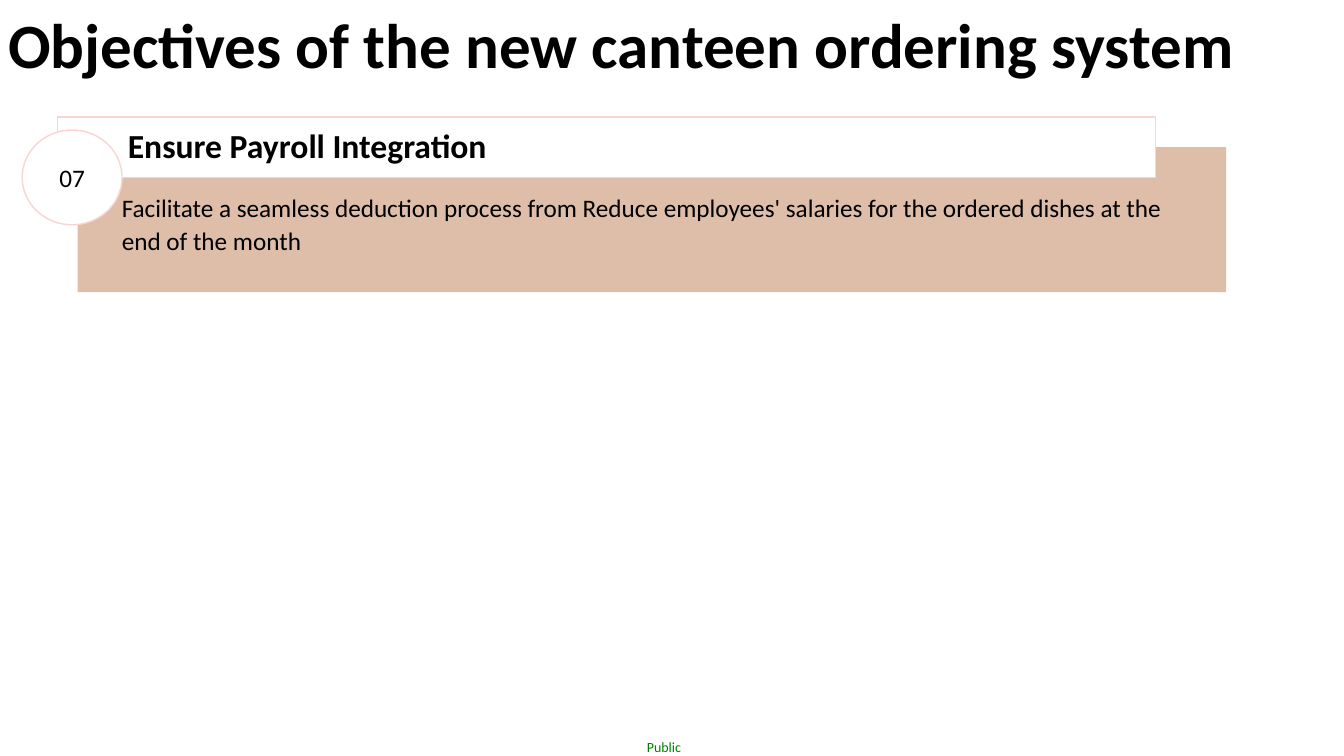
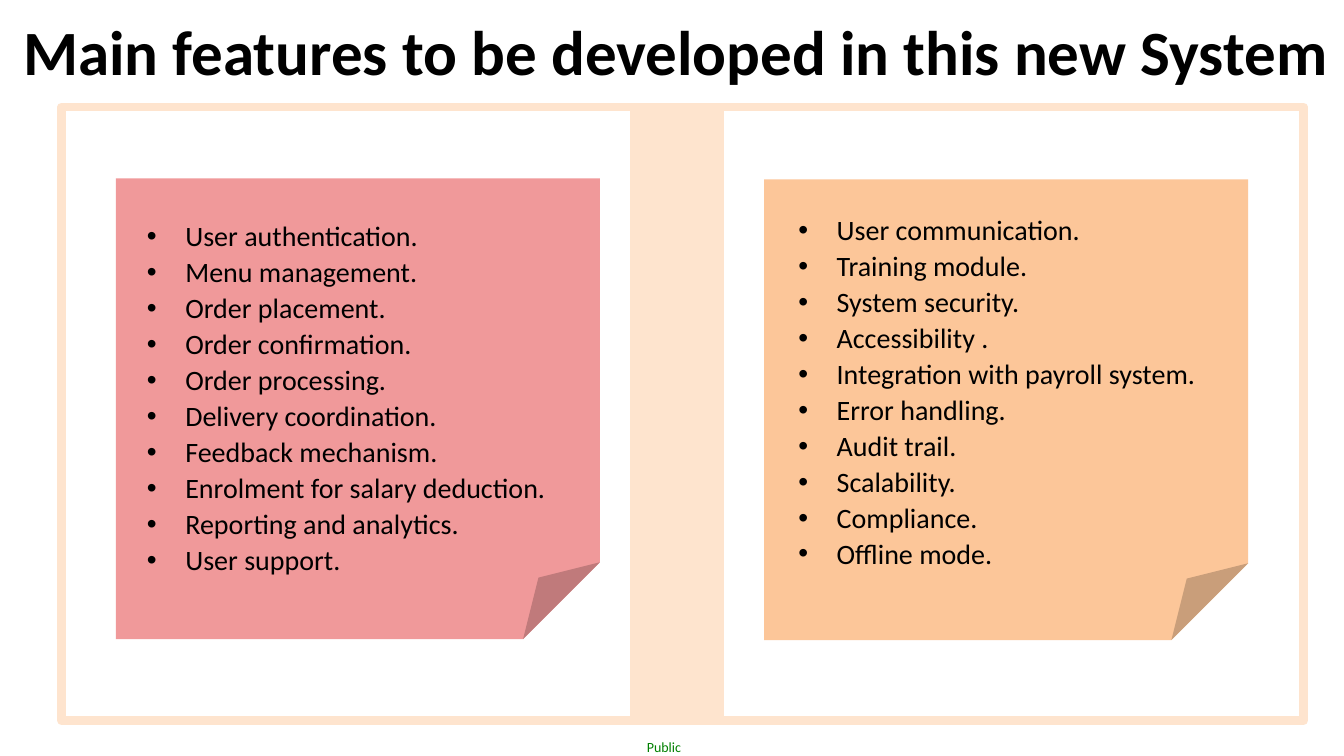
"""Builds two slides on the objectives and features of a canteen ordering system."""
from dataclasses import dataclass

from lxml import etree
from pptx import Presentation
from pptx.dml.color import RGBColor
from pptx.enum import shapes, text
from pptx.oxml.ns import qn
from pptx.util import Emu, Pt

PX = 9144
FONT = "Calibri"
LINE_SPACING = 1.07
COLORS = {
    "black": "000000",
    "white": "FFFFFF",
    "public": "008000",
    "card": "DEBEA9",
    "outline": "FAD4D1",
    "frame": "FEE4CE",
    "pink": "F0999A",
    "orange": "FCC699",
}
Kind = shapes.MSO_SHAPE
Align = text.PP_ALIGN
Anchor = text.MSO_ANCHOR


@dataclass(frozen=True)
class Box:
    """A rectangle in px."""
    left: int
    top: int
    width: int
    height: int

    def emu(self) -> tuple[Emu, ...]:
        """Returns the rectangle in EMU."""
        return tuple(Emu(v * PX) for v in (self.left, self.top, self.width, self.height))


@dataclass(frozen=True)
class Style:
    """The look of a paragraph."""
    size: int
    bold: bool = False
    color: str = "black"
    align: Align = Align.LEFT
    spacing: float = LINE_SPACING
    after: int = 0
    bullet: bool = False


@dataclass(frozen=True)
class Note:
    """A folded note with a bulleted list."""
    paper: Box
    fill: str
    list_box: Box
    align: Align
    items: tuple[str, ...]


TITLE = Style(45, bold=True, after=8)
HEADING = Style(24, bold=True, after=8)
BODY = Style(18, after=8)
NUMBER = Style(18, align=Align.CENTER, spacing=1.0)
FOOTER = Style(10, color="public", align=Align.CENTER, spacing=1.0)

NOTES = (
    Note(Box(758, 178, 480, 457), "orange", Box(782, 204, 460, 369), Align.LEFT, (
        "User communication.", "Training module.", "System security.", "Accessibility .",
        "Integration with payroll system.", "Error handling.", "Audit trail.",
        "Scalability.", "Compliance.", "Offline mode.")),
    Note(Box(115, 177, 480, 457), "pink", Box(136, 210, 460, 405), Align.JUSTIFY, (
        "User authentication.", "Menu management.", "Order placement.",
        "Order confirmation.", "Order processing.", "Delivery coordination.",
        "Feedback mechanism.", "Enrolment for salary deduction.",
        "Reporting and analytics.", "User support.")),
)


def rgb(name: str) -> RGBColor:
    """Looks up a named colour."""
    return RGBColor.from_string(COLORS[name])


def add_bullet(p) -> None:
    """Gives a paragraph a hanging round bullet."""
    pPr = p._p.get_or_add_pPr()
    pPr.set("marL", str(38 * PX))
    pPr.set("indent", str(-38 * PX))
    etree.SubElement(pPr, qn("a:buFont")).set("typeface", "Arial")
    etree.SubElement(pPr, qn("a:buChar")).set("char", "•")


def write(tf, lines: tuple[str, ...], style: Style) -> None:
    """Writes one paragraph for each line."""
    tf.word_wrap = True
    for i, line in enumerate(lines):
        p = tf.add_paragraph() if i else tf.paragraphs[0]
        if style.bullet:
            add_bullet(p)
        p.alignment = style.align
        p.line_spacing = style.spacing
        p.space_before = Pt(0)
        p.space_after = Pt(style.after)
        r = p.add_run()
        r.text = line
        r.font.name = FONT
        r.font.size = Pt(style.size)
        r.font.bold = style.bold
        r.font.color.rgb = rgb(style.color)


def add_text(slide, box: Box, style: Style, *lines: str):
    """Adds a text box and returns its frame."""
    tf = slide.shapes.add_textbox(*box.emu()).text_frame
    write(tf, lines, style)
    return tf


def add_shape(slide, kind: Kind, box: Box, fill: str, line: str = "", weight: int = 1):
    """Adds a flat preset shape."""
    sp = slide.shapes.add_shape(kind, *box.emu())
    sp.shadow.inherit = False
    sp.fill.solid()
    sp.fill.fore_color.rgb = rgb(fill)
    if line:
        sp.line.color.rgb = rgb(line)
        sp.line.width = Pt(weight)
    else:
        sp.line.fill.background()
    return sp


def add_slide(prs, title: str, box: Box):
    """Adds a slide with its title and footer."""
    slide = prs.slides.add_slide(prs.slide_layouts[5])
    sp = slide.shapes.title
    sp.left, sp.top, sp.width, sp.height = box.emu()
    tf = sp.text_frame
    tf.auto_size = text.MSO_AUTO_SIZE.NONE
    tf.vertical_anchor = Anchor.TOP
    write(tf, (title,), TITLE)
    footer = add_text(slide, Box(640, 733, 37, 17), FOOTER, "Public")
    footer.margin_left = footer.margin_right = footer.margin_top = footer.margin_bottom = 0
    return slide


def add_objective(slide, number: str, heading: str, body: str) -> None:
    """Draws a numbered objective card."""
    add_shape(slide, Kind.RECTANGLE, Box(77, 146, 1139, 144), "card")
    add_shape(slide, Kind.RECTANGLE, Box(57, 116, 1089, 60), "white", "outline")
    sp = add_shape(slide, Kind.OVAL, Box(22, 129, 99, 94), "white", "outline")
    sp.text_frame.vertical_anchor = Anchor.MIDDLE
    write(sp.text_frame, (number,), NUMBER)
    add_text(slide, Box(111, 184, 1080, 73), BODY, body)
    add_text(slide, Box(117, 116, 666, 51), HEADING, heading)


def add_features(slide) -> None:
    """Draws the framed pair of notes."""
    add_shape(slide, Kind.RECTANGLE, Box(61, 106, 1232, 609), "white", "frame", 6)
    for note in NOTES:
        add_shape(slide, Kind.FOLDED_CORNER, note.paper, note.fill)
        style = Style(20, align=note.align, bullet=True)
        add_text(slide, note.list_box, style, *note.items)
    add_shape(slide, Kind.RECTANGLE, Box(625, 106, 93, 609), "frame")


def main() -> None:
    """Builds and saves the presentation."""
    prs = Presentation()
    prs.slide_width, prs.slide_height = Emu(1333 * PX), Emu(750 * PX)
    slide = add_slide(prs, "Objectives of the new canteen ordering system",
                      Box(-2, -5, 1298, 88))
    add_objective(slide, "07", "Ensure Payroll Integration",
                  "Facilitate a seamless deduction process from Reduce employees' "
                  "salaries for the ordered dishes at the end of the month")
    slide = add_slide(prs, "Main features to be developed in this new System",
                      Box(13, 2, 1320, 88))
    add_features(slide)
    prs.save("out.pptx")


if __name__ == "__main__":
    main()
